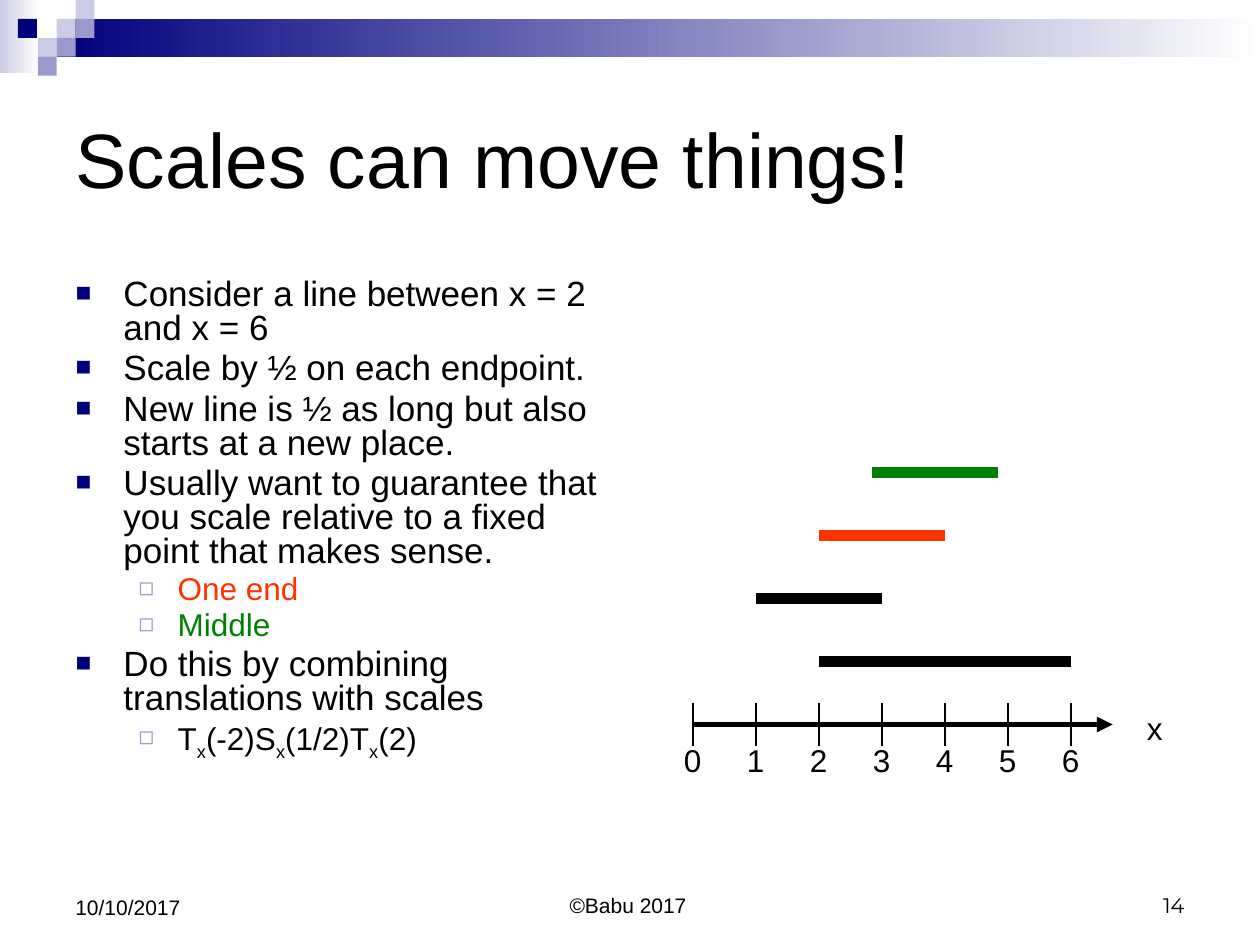
from lxml.etree import SubElement
from pptx import Presentation
from pptx.dml.color import RGBColor
from pptx.enum.shapes import MSO_CONNECTOR as CONNECTOR, MSO_SHAPE as SHAPE
from pptx.enum.text import MSO_ANCHOR as ANCHOR, MSO_AUTO_SIZE as AUTO_SIZE, PP_ALIGN as ALIGN
from pptx.oxml.ns import qn
from pptx.util import Inches, Pt

BLACK = RGBColor(0x00, 0x00, 0x00)
WHITE = RGBColor(0xFF, 0xFF, 0xFF)
NAVY = RGBColor(0x00, 0x00, 0x7D)
LAVENDER = RGBColor(0x99, 0x99, 0xCC)
PALE = RGBColor(0xCC, 0xCC, 0xE6)
RED = RGBColor(0xFF, 0x33, 0x00)
GREEN = RGBColor(0x00, 0x80, 0x00)

PIXEL = 0.15               # side of a square in the corner mosaic
UNIT = 0.5                 # one step of the number line
ORIGIN, AXIS_Y = 5.5, 5.75
MARGIN = 0.5

# column, row, colour
MOSAIC = [(3, 1, PALE), (4, 0, PALE), (4, 1, LAVENDER), (2, 2, PALE),
          (0.95, 1, NAVY), (3, 2, LAVENDER), (2, 3, LAVENDER)]

# start, end, steps above the axis, colour
SEGMENTS = [(2, 6, 1, BLACK), (1, 3, 2, BLACK),
            (2.84, 4.84, 4, GREEN), (2, 4, 3, RED)]

# level, colour, text pieces; every second piece is a subscript
POINTS = [
    (0, BLACK, ["Consider a line between x = 2 and x = 6"]),
    (0, BLACK, ["Scale by ½ on each endpoint."]),
    (0, BLACK, ["New line is ½ as long but also starts at a new place."]),
    (0, BLACK, ["Usually want to guarantee that you scale relative to "
                "a fixed point that makes sense."]),
    (1, RED, ["One end"]),
    (1, GREEN, ["Middle"]),
    (0, BLACK, ["Do this by combining translations with scales"]),
    (1, BLACK, ["T", "x", "(-2)S", "x", "(1/2)T", "x", "(2)"]),
]

# per level: left margin, hanging indent, size, bullet, its colour and percentage
LEVELS = [(0.38, 0.38, 20, "■", NAVY, 75),
          (0.81, 0.31, 18, "◻", LAVENDER, 80)]


def axis_x(value):
    return ORIGIN + value * UNIT


def style(run, size, color=BLACK, font="Arial"):
    run.font.name, run.font.size = font, Pt(size)
    run.font.color.rgb = color


def place(sp, x, y, w, h):
    sp.left, sp.top, sp.width, sp.height = map(Inches, (x, y, w, h))


def add_block(slide, x, y, w, h, color, fade=False):
    """Add a borderless rectangle, fading to white at the right if asked."""
    sp = slide.shapes.add_shape(SHAPE.RECTANGLE, *map(Inches, (x, y, w, h)))
    sp.shadow.inherit = False
    sp.line.fill.background()
    if fade:
        sp.fill.gradient()
        sp.fill.gradient_angle = 0
        for stop, stop_color in zip(sp.fill.gradient_stops, (color, WHITE)):
            stop.color.rgb = stop_color
    else:
        sp.fill.solid()
        sp.fill.fore_color.rgb = color


def add_line(slide, x1, y1, x2, y2, width, color=BLACK, arrow=False):
    line = slide.shapes.add_connector(CONNECTOR.STRAIGHT,
                                      *map(Inches, (x1, y1, x2, y2)))
    line.line.width = Pt(width)
    line.line.color.rgb = color
    if arrow:
        SubElement(line.line._get_or_add_ln(), qn("a:tailEnd"), type="triangle")
    SubElement(line._element.spPr, qn("a:effectLst"))


def add_label(slide, text, x, y, w, h, size, align=ALIGN.LEFT,
              anchor=ANCHOR.TOP, font="Arial"):
    tf = slide.shapes.add_textbox(*map(Inches, (x, y, w, h))).text_frame
    tf.word_wrap = True
    tf.vertical_anchor = anchor
    p = tf.paragraphs[0]
    p.text, p.alignment = text, align
    style(p.runs[0], size, font=font)


def set_bullet(p, margin, indent, char, color, percent):
    pPr = p._p.get_or_add_pPr()
    pPr.set("marL", str(Inches(margin)))
    pPr.set("indent", str(-Inches(indent)))
    SubElement(SubElement(pPr, qn("a:buClr")), qn("a:srgbClr"), val=str(color))
    SubElement(pPr, qn("a:buSzPct"), val=str(percent * 1000))
    SubElement(pPr, qn("a:buFont"), typeface="Arial")
    SubElement(pPr, qn("a:buChar"), char=char)


def add_banner(slide):
    add_block(slide, 0, 0, 0.31, 0.58, PALE, fade=True)
    add_block(slide, 3 * PIXEL, PIXEL, 10 - 3 * PIXEL, 2 * PIXEL, NAVY, fade=True)
    for col, row, color in MOSAIC:
        add_block(slide, col * PIXEL, row * PIXEL, PIXEL, PIXEL, color)


def fill_title(title):
    place(title, MARGIN, 0.5, 9, 1.5)
    tf = title.text_frame
    tf.text = "Scales can move things!"
    tf.auto_size = AUTO_SIZE.NONE
    tf.vertical_anchor = ANCHOR.MIDDLE
    p = tf.paragraphs[0]
    p.alignment = ALIGN.LEFT
    style(p.runs[0], 44)


def fill_body(body):
    place(body, MARGIN, 2.17, 4.42, 4.25)
    tf = body.text_frame
    tf.auto_size = AUTO_SIZE.NONE
    for i, (level, color, pieces) in enumerate(POINTS):
        p = tf.add_paragraph() if i else tf.paragraphs[0]
        p.level, p.line_spacing = level, 0.8
        margin, indent, size, char, bullet_color, percent = LEVELS[level]
        set_bullet(p, margin, indent, char, bullet_color, percent)
        for j, piece in enumerate(pieces):
            r = p.add_run()
            r.text = piece
            style(r, size, color)
            if j % 2:
                r.font._element.set("baseline", "-25000")


def add_number_line(slide):
    add_line(slide, ORIGIN, AXIS_Y, 8.83, AXIS_Y, 3, arrow=True)
    add_label(slide, "x", 8.83, 5.58, 0.67, 0.4, 18, ALIGN.CENTER)
    for n in range(7):
        x = axis_x(n)
        add_line(slide, x, AXIS_Y - 0.17, x, AXIS_Y + 0.17, 0.75)
        add_label(slide, str(n), x - 0.17, 5.83, 0.33, 0.4, 18)
    for start, end, step, color in SEGMENTS:
        y = AXIS_Y - step * UNIT
        add_line(slide, axis_x(start), y, axis_x(end), y, 6, color)


def add_footer(slide):
    add_label(slide, "10/10/2017", MARGIN, 6.83, 2.33, 0.52, 12,
              anchor=ANCHOR.BOTTOM)
    add_label(slide, "©Babu 2017", 3.42, 6.83, 3.13, 0.5, 12,
              ALIGN.CENTER, ANCHOR.BOTTOM)
    add_label(slide, "14", 7.17, 6.83, 2.33, 0.5, 12,
              ALIGN.RIGHT, ANCHOR.BOTTOM, "Montserrat")


def main():
    prs = Presentation()
    prs.slide_width, prs.slide_height = Inches(10), Inches(7.5)
    slide = prs.slides.add_slide(prs.slide_layouts[1])
    add_banner(slide)
    fill_title(slide.shapes.title)
    fill_body(slide.placeholders[1])
    add_number_line(slide)
    add_footer(slide)
    prs.save("out.pptx")


if __name__ == "__main__":
    main()
